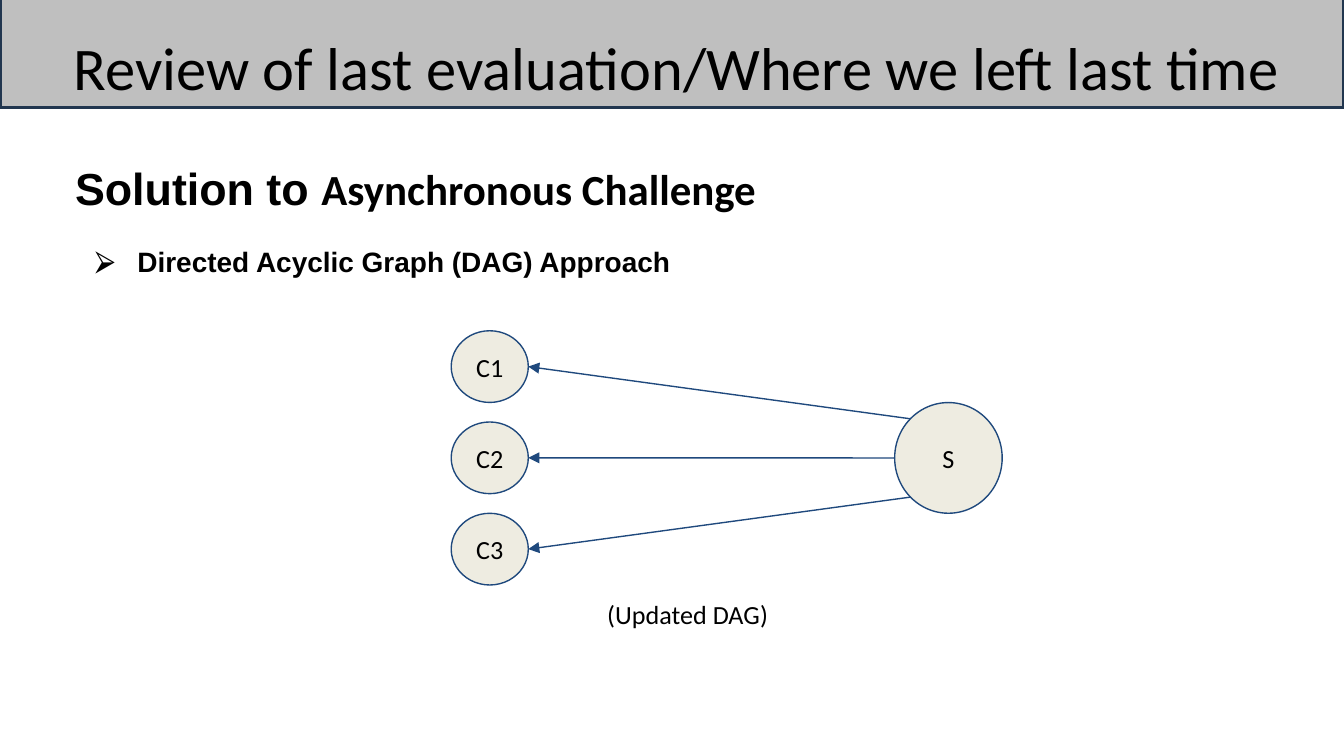
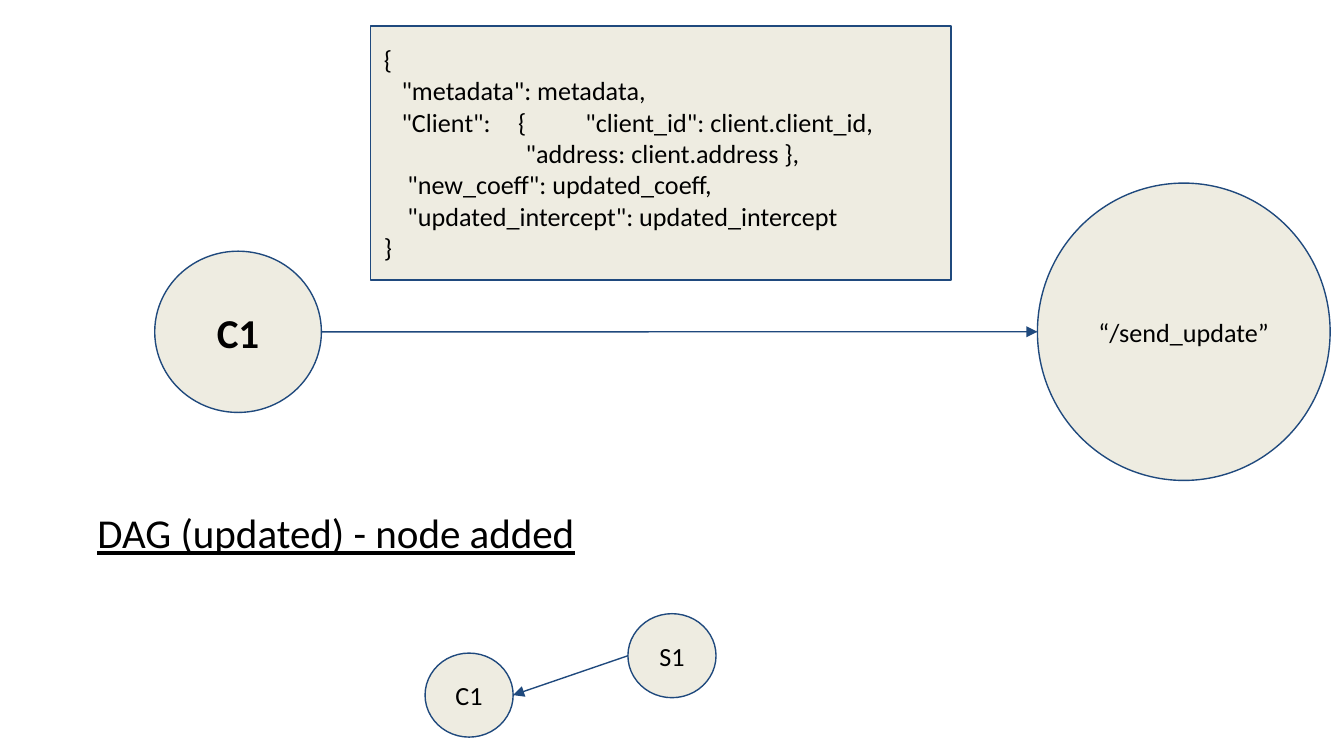
import math

import lxml.etree
import pptx
import pptx.dml.color
import pptx.enum.shapes
import pptx.enum.text
import pptx.oxml.ns
import pptx.util

Pt = pptx.util.Pt
RGBColor = pptx.dml.color.RGBColor
Shape = pptx.enum.shapes.MSO_SHAPE
Align = pptx.enum.text.PP_ALIGN
Anchor = pptx.enum.text.MSO_ANCHOR
qn = pptx.oxml.ns.qn

BLACK = RGBColor(0x00, 0x00, 0x00)
WHITE = RGBColor(0xFF, 0xFF, 0xFF)
BAND = RGBColor(0xBF, 0xBF, 0xBF)
BAND_EDGE = RGBColor(0x21, 0x36, 0x4F)
CREAM = RGBColor(0xEE, 0xEC, 0xE1)
NAVY = RGBColor(0x1F, 0x49, 0x7D)


def add_xml(parent, tag, **attributes):
    return lxml.etree.SubElement(parent, qn(tag), attributes)


def edge_point(circle, degrees):
    angle = math.radians(degrees)
    x = circle.left + circle.width / 2 * (1 + math.cos(angle))
    y = circle.top + circle.height / 2 * (1 - math.sin(angle))
    return round(x), round(y)


class Sketch:
    font = "Calibri"
    size = 14
    line_width = 0.75

    def __init__(self, deck):
        self.deck = deck
        self.page = None

    def new_page(self):
        self.page = self.deck.slides.add_slide(self.deck.slide_layouts[5])
        self.page.background.fill.solid()
        self.page.background.fill.fore_color.rgb = WHITE

    def style(self, span, size=None, font=None, bold=False, underline=False):
        span.font.name = font or self.font
        span.font.size = Pt(size or self.size)
        span.font.bold = bold
        span.font.underline = underline
        span.font.color.rgb = BLACK

    def frame(self, shape, anchor, side, upright, wrap=True):
        frame = shape.text_frame
        frame.auto_size = pptx.enum.text.MSO_AUTO_SIZE.NONE
        frame.word_wrap = wrap
        frame.vertical_anchor = anchor
        frame.margin_left = frame.margin_right = Pt(side)
        frame.margin_top = frame.margin_bottom = Pt(upright)
        return frame

    def title(self, text, left, top, width, height, size, underline=False):
        box = self.page.shapes.title
        box.left, box.top, box.width, box.height = map(Pt, (left, top, width, height))
        frame = self.frame(box, Anchor.MIDDLE, 2.9, 1.4)
        frame.text = text
        para = frame.paragraphs[0]
        para.alignment = Align.CENTER
        self.style(para.runs[0], size, underline=underline)

    def shape(self, kind, left, top, width, height, fill=CREAM, line=NAVY, line_width=None):
        shape = self.page.shapes.add_shape(kind, *map(Pt, (left, top, width, height)))
        shape.shadow.inherit = False
        shape.fill.solid()
        shape.fill.fore_color.rgb = fill
        shape.line.color.rgb = line
        shape.line.width = Pt(line_width or self.line_width)
        return shape

    def band(self, top, height):
        band = self.shape(Shape.RECTANGLE, 0, top, 720, height, BAND, BAND_EDGE, 2)
        self.page.shapes.title._element.addprevious(band._element)

    def circle(self, text, left, top, width, height, size=None, bold=False):
        circle = self.shape(Shape.OVAL, left, top, width, height)
        frame = self.frame(circle, Anchor.MIDDLE, 7.2, 7.2, wrap=False)
        frame.text = text
        para = frame.paragraphs[0]
        para.alignment = Align.CENTER
        self.style(para.runs[0], size, bold=bold)
        return circle

    def arrow(self, start, start_degrees, end, end_degrees):
        line = self.page.shapes.add_connector(
            pptx.enum.shapes.MSO_CONNECTOR.STRAIGHT,
            *edge_point(start, start_degrees), *edge_point(end, end_degrees))
        line.line.color.rgb = NAVY
        line.line.width = Pt(self.line_width)
        add_xml(line.line._get_or_add_ln(), "a:tailEnd", type="triangle")
        add_xml(line._element.spPr, "a:effectLst")

    def text(self, spans, left, top, width, height, upright=3.6):
        box = self.page.shapes.add_textbox(*map(Pt, (left, top, width, height)))
        para = self.frame(box, Anchor.TOP, 7.2, upright).paragraphs[0]
        for words, look in spans:
            span = para.add_run()
            span.text = words
            self.style(span, **look)
        return para

    def bullet(self, para, mark, indent):
        properties = para._p.get_or_add_pPr()
        properties.set("marL", str(Pt(indent)))
        properties.set("indent", str(-Pt(indent)))
        colour = add_xml(properties, "a:buClr")
        add_xml(colour, "a:srgbClr", val=str(BLACK))
        add_xml(properties, "a:buFont", typeface="Arial")
        add_xml(properties, "a:buChar", char=mark)

    def code(self, lines, left, top, width, height, tab_stops):
        box = self.shape(Shape.RECTANGLE, left, top, width, height)
        frame = self.frame(box, Anchor.MIDDLE, 7.2, 7.2)
        frame.text = "\n".join(words for indent, words in lines)
        for para, (indent, words) in zip(frame.paragraphs, lines):
            para.alignment = Align.LEFT
            properties = para._p.get_or_add_pPr()
            properties.set("marL", "0")
            properties.set("indent", str(Pt(indent)))
            if "\t" in words:
                tabs = add_xml(properties, "a:tabLst")
                for stop in tab_stops:
                    add_xml(tabs, "a:tab", pos=str(Pt(stop)), algn="l")
            for span in para.runs:
                self.style(span)


def build_review(sketch):
    sketch.new_page()
    sketch.title("Review of last evaluation/Where we left last time", 22.3, 13, 680, 44.6, 32.4)
    sketch.band(-1.4, 59)
    sketch.text([("Solution to ", dict(size=24, font="Arial", bold=True)),
                 ("Asynchronous Challenge", dict(size=23, bold=True))], 33.1, 82.8, 584.6, 36)
    approach = sketch.text([("Directed Acyclic Graph (DAG) Approach",
                             dict(size=15, font="Arial", bold=True))], 43.9, 127.4, 658, 25.2)
    sketch.bullet(approach, "⮚", 22.6)
    clients = [sketch.circle(f"C{row + 1}", 241.7, 177.2 + 48.9 * row, 41.3, 38.4)
               for row in range(3)]
    server = sketch.circle("S", 479.3, 215.7, 57.6, 59.3)
    for client, degrees in zip(clients, (135, 180, 225)):
        sketch.arrow(server, degrees, client, 0)
    sketch.text([("(Updated DAG)", {})], 318.2, 313.2, 134.6, 38.2, upright=7.2)


def build_update(sketch):
    sketch.new_page()
    sketch.title("DAG (updated) - node added", 18, 262.8, 324, 44.6, 22, underline=True)
    client = sketch.circle("C1", 82.9, 134.6, 89.3, 86.4, 22, bold=True)
    sketch.code([(0, "{"),
                 (9.5, '"metadata": metadata,'),
                 (9.5, '"Client":\t{\t"client_id": client.client_id,'),
                 (76, '"address: client.address },'),
                 (12.6, '"new_coeff": updated_coeff,'),
                 (12.6, '"updated_intercept": updated_intercept'),
                 (0, "}")], 198.5, 13.9, 311, 136.1, tab_stops=(66, 77.5))
    endpoint = sketch.circle("“/send_update”", 555.8, 98.1, 156.8, 159.3)
    sketch.arrow(client, 0, endpoint, 180)
    node = sketch.circle("C1", 227.7, 349.9, 47.2, 45)
    server = sketch.circle("S1", 336.4, 328.8, 47.2, 45)
    sketch.arrow(server, 180, node, 0)


def main():
    deck = pptx.Presentation()
    deck.slide_width, deck.slide_height = Pt(720), Pt(405)
    sketch = Sketch(deck)
    build_review(sketch)
    build_update(sketch)
    deck.save("out.pptx")


if __name__ == "__main__":
    main()
